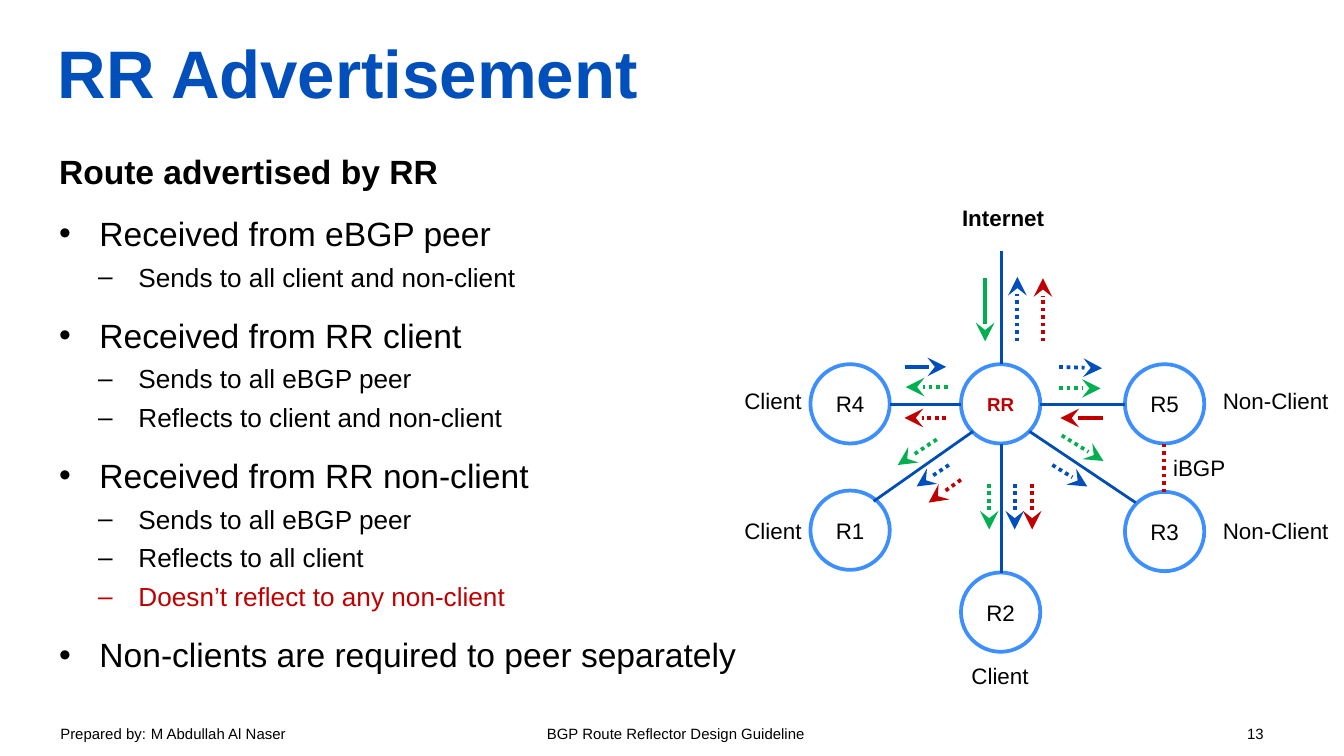
import pptx
import pptx.util
import pptx.dml.color
import pptx.enum.dml
import pptx.enum.shapes
import pptx.enum.text
import pptx.oxml.ns
from lxml import etree

Inches, Pt = pptx.util.Inches, pptx.util.Pt
ANCHOR = pptx.enum.text.MSO_ANCHOR
ALIGN = pptx.enum.text.PP_ALIGN
FIT = pptx.enum.text.MSO_AUTO_SIZE
COLOURS = {"title": "004FBB", "text": "000000", "ring": "3D8FFF", "link": "004DB6",
           "client": "004FBA", "external": "00B050", "non_client": "C00000"}


def add_xml(parent, tag, **attributes):
    return etree.SubElement(parent, pptx.oxml.ns.qn(tag), attributes)


class Slide:
    font = "Arial"
    diameter = 0.59

    def __init__(self, slide):
        self.slide = slide
        self.shapes = slide.shapes

    def colour(self, name):
        return pptx.dml.color.RGBColor.from_string(COLOURS[name])

    def run(self, paragraph, text, size, colour="text", bold=False):
        run = paragraph.add_run()
        run.text = text
        run.font.name, run.font.size, run.font.bold = self.font, Pt(size), bold
        run.font.color.rgb = self.colour(colour)

    def no_insets(self, frame):
        frame.margin_left = frame.margin_right = 0
        frame.margin_top = frame.margin_bottom = 0

    def title(self, text, left, top, width, height):
        title = self.shapes.title
        title.left, title.top = Inches(left), Inches(top)
        title.width, title.height = Inches(width), Inches(height)
        frame = title.text_frame
        self.no_insets(frame)
        frame.auto_size = FIT.NONE
        frame.vertical_anchor = ANCHOR.MIDDLE
        frame.paragraphs[0].alignment = ALIGN.LEFT
        self.run(frame.paragraphs[0], text, 36, "title", True)

    def box(self, left, top, width, height):
        box = self.shapes.add_textbox(Inches(left), Inches(top), Inches(width), Inches(height))
        box.text_frame.word_wrap = True
        return box.text_frame

    def label(self, text, left, top, width, bold=False):
        frame = self.box(left, top, width, 0.3)
        frame.word_wrap = False
        frame.auto_size = FIT.SHAPE_TO_FIT_TEXT
        self.run(frame.paragraphs[0], text, 12, bold=bold)

    def outline(self, heading, points, left, top, width, height):
        frame = self.box(left, top, width, height)
        self.no_insets(frame)
        self.run(frame.paragraphs[0], heading, 18, bold=True)
        for level, text, colour in points:
            point = frame.add_paragraph()
            point.level = level
            point.space_before = Pt(4 if level else 12)
            properties = point._p.get_or_add_pPr()
            properties.set("marL", str(Inches(0.59 if level else 0.3)))
            properties.set("indent", str(Inches(-0.3)))
            add_xml(properties, "a:buFont", typeface=self.font)
            add_xml(properties, "a:buChar", char="–" if level else "•")
            self.run(point, text, 14 if level else 18, colour)

    def footer(self, runs, tabs, left, top, width, height):
        paragraph = self.box(left, top, width, height).paragraphs[0]
        tab_list = add_xml(paragraph._p.get_or_add_pPr(), "a:tabLst")
        for position in tabs:
            add_xml(tab_list, "a:tab", pos=str(Inches(position)), algn="l")
        for text, size in runs:
            self.run(paragraph, text, size)

    def router(self, name, left, top, size=12, colour="text", bold=False):
        router = self.shapes.add_shape(
            pptx.enum.shapes.MSO_SHAPE.OVAL, Inches(left), Inches(top),
            Inches(self.diameter), Inches(self.diameter))
        router.shadow.inherit = False
        router.fill.background()
        router.line.color.rgb = self.colour("ring")
        router.line.width = Pt(2)
        frame = router.text_frame
        self.no_insets(frame)
        frame.vertical_anchor = ANCHOR.MIDDLE
        frame.paragraphs[0].alignment = ALIGN.CENTER
        self.run(frame.paragraphs[0], name, size, colour, bold)

    def line(self, start, end, colour="link", width=1.5, dotted=False, arrow=False):
        line = self.shapes.add_connector(
            pptx.enum.shapes.MSO_CONNECTOR.STRAIGHT, *map(Inches, start + end))
        line.line.color.rgb = self.colour(colour)
        line.line.width = Pt(width)
        if dotted:
            line.line.dash_style = pptx.enum.dml.MSO_LINE.ROUND_DOT
        if arrow:
            add_xml(line.line._get_or_add_ln(), "a:tailEnd", type="stealth", w="lg", len="lg")
        add_xml(line._element.spPr, "a:effectLst")


def main():
    deck = pptx.Presentation()
    deck.slide_width = Inches(10)
    deck.slide_height = deck.slide_width * 9 // 16
    page = Slide(deck.slides.add_slide(deck.slide_layouts[5]))

    # Footer, title and outline
    page.footer([("Prepared by:", 8), (" ", 9),
                 ("M Abdullah Al Naser\tBGP Route Reflector Design Guideline\t13", 8)],
                [3.62, 8.83], 0.35, 5.33, 9.32, 0.25)
    page.title("RR Advertisement", 0.43, 0.06, 9.13, 0.94)
    page.outline("Route advertised by RR", [
        (0, "Received from eBGP peer", "text"),
        (1, "Sends to all client and non-client", "text"),
        (0, "Received from RR client", "text"),
        (1, "Sends to all eBGP peer", "text"),
        (1, "Reflects to client and non-client", "text"),
        (0, "Received from RR non-client", "text"),
        (1, "Sends to all eBGP peer", "text"),
        (1, "Reflects to all client", "text"),
        (1, "Doesn’t reflect to any non-client", "non_client"),
        (0, "Non-clients are required to peer separately", "text"),
    ], 0.44, 1.12, 5.7, 4.13)

    # Routers around the reflector
    page.router("RR", 7.15, 2.71, 10, "non_client", True)
    for name, left, top in [("R3", 8.37, 3.66), ("R1", 6.03, 3.65), ("R2", 7.15, 4.26),
                            ("R4", 6.03, 2.71), ("R5", 8.37, 2.71)]:
        page.router(name, left, top)

    # Links from the reflector, and the separate iBGP session
    for start, end in [((7.45, 2.71), (7.45, 1.87)), ((7.45, 3.3), (7.45, 4.26)),
                       ((7.15, 3.01), (6.62, 3.01)), ((7.74, 3.01), (8.37, 3.01)),
                       ((7.24, 3.21), (6.5, 3.73)), ((7.66, 3.21), (8.45, 3.74))]:
        page.line(start, end)
    page.line((8.66, 3.3), (8.66, 3.66), "non_client", 2, dotted=True)

    # Received routes are solid, advertised routes are dotted
    received = {
        "external": ((7.33, 2.07), (7.33, 2.54)),
        "client": ((6.73, 2.73), (7.04, 2.73)),
        "non_client": ((8.21, 3.11), (7.89, 3.11)),
    }
    advertised = {
        "external": [((7.05, 2.88), (6.74, 2.88)), ((7.88, 2.89), (8.19, 2.89)),
                     ((7.9, 3.24), (8.21, 3.43)), ((7.36, 3.6), (7.36, 3.94)),
                     ((6.97, 3.27), (6.68, 3.46))],
        "client": [((7.57, 2.54), (7.57, 2.06)), ((7.06, 3.46), (6.82, 3.62)),
                   ((7.83, 3.46), (8.09, 3.62)), ((7.88, 2.73), (8.2, 2.74)),
                   ((7.55, 3.6), (7.55, 3.94))],
        "non_client": [((7.04, 3.11), (6.73, 3.11)), ((7.76, 2.54), (7.76, 2.07)),
                       ((7.15, 3.57), (6.91, 3.74)), ((7.68, 3.6), (7.68, 3.94))],
    }
    for origin, (start, end) in received.items():
        page.line(start, end, origin, 2, arrow=True)
        for start, end in advertised[origin]:
            page.line(start, end, origin, 2, dotted=True, arrow=True)

    # Labels
    page.label("Internet", 7.06, 1.47, 0.82, bold=True)
    for top in (2.83, 3.8):
        page.label("Client", 5.44, top, 0.63)
        page.label("Non-Client", 9, top, 0.99)
    page.label("Client", 7.13, 4.88, 0.63)
    page.label("iBGP", 8.63, 3.33, 0.59)

    deck.save("out.pptx")


if __name__ == "__main__":
    main()
